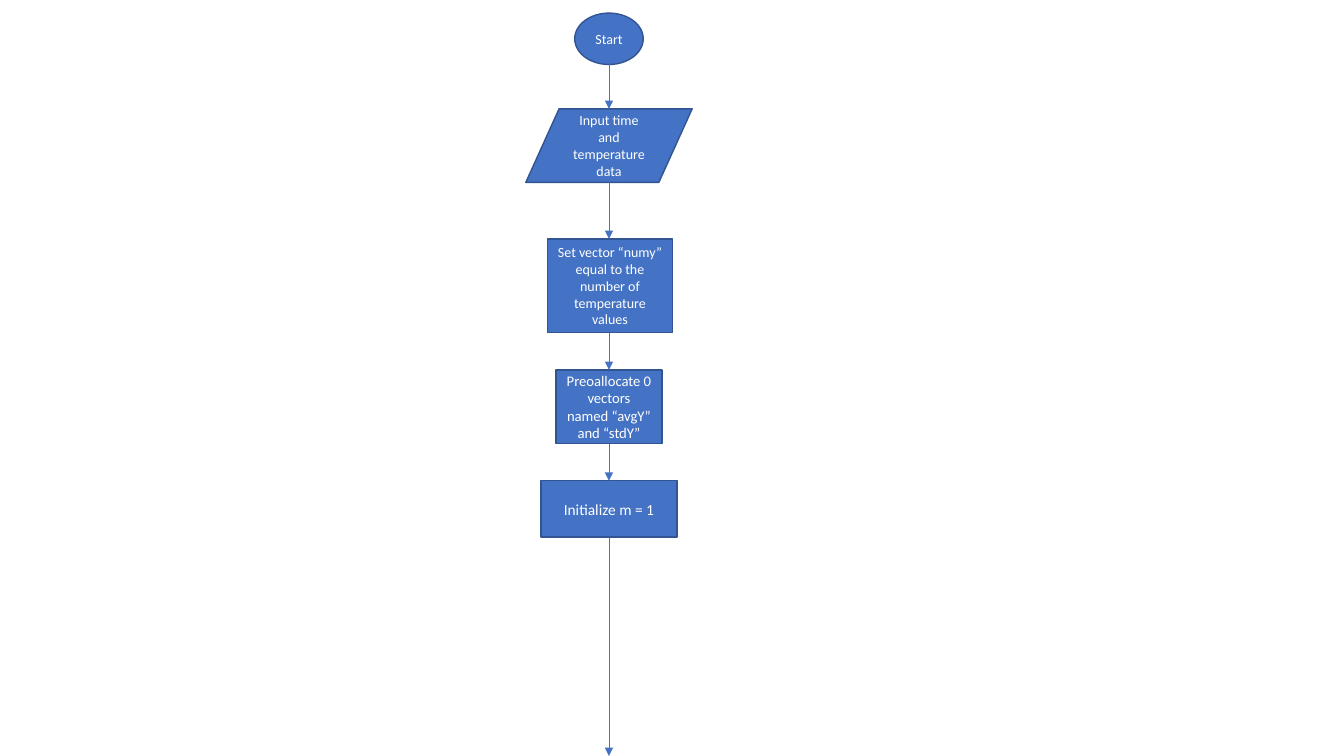
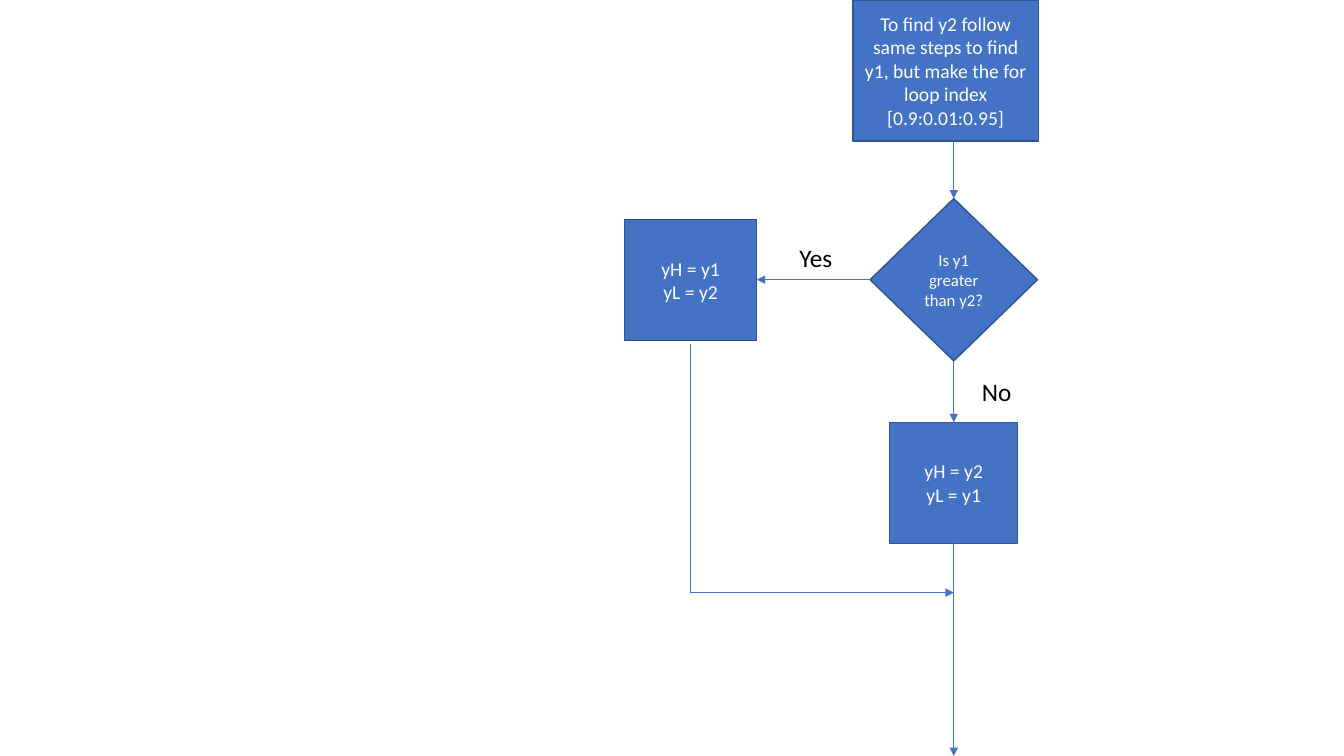
"""Build two flowchart slides: data set-up, and choosing the high and low values."""
from lxml import etree
from pptx import Presentation
from pptx.dml.color import RGBColor
from pptx.enum.shapes import MSO_CONNECTOR, MSO_SHAPE
from pptx.enum.text import MSO_ANCHOR, PP_ALIGN
from pptx.oxml.ns import qn
from pptx.util import Inches, Pt

OVAL, BOX = MSO_SHAPE.OVAL, MSO_SHAPE.RECTANGLE
DATA, DECISION = MSO_SHAPE.FLOWCHART_DATA, MSO_SHAPE.FLOWCHART_DECISION
STRAIGHT, ELBOW = MSO_CONNECTOR.STRAIGHT, MSO_CONNECTOR.ELBOW
MIDDLE, CENTER, LEFT = MSO_ANCHOR.MIDDLE, PP_ALIGN.CENTER, PP_ALIGN.LEFT

SLIDE_WIDTH, SLIDE_HEIGHT = 13.33, 7.5
FONT = "Calibri"
COLORS = {"fill": "4472C4", "outline": "325491", "light": "FFFFFF", "dark": "000000"}

# Each step: preset, centre x, top, width, height, text size, text
SETUP_AXIS = 6.04
SETUP_STEPS = [
    (OVAL, 6.04, 0.13, 0.68, 0.51, 10, "Start"),
    (DATA, 6.04, 1.08, 1.65, 0.73, 10, "Input time and temperature data"),
    (BOX, 6.05, 2.37, 1.24, 0.93, 10,
     "Set vector “numy” equal to the number of temperature values"),
    (BOX, 6.04, 3.67, 1.05, 0.73, 10.5,
     "Preoallocate 0 vectors named “avgY” and “stdY”"),
    (BOX, 6.04, 4.77, 1.35, 0.56, 11, "Initialize m = 1"),
]
COMPARE_AXIS = 9.46
COMPARE_STEPS = [
    (BOX, 9.38, 0, 1.84, 1.4, 14,
     "To find y2 follow same steps to find y1, but make the for loop index [0.9:0.01:0.95]"),
    (DECISION, 9.46, 1.97, 1.66, 1.61, 12, "Is y1 greater than y2?"),
    (BOX, 9.46, 4.19, 1.27, 1.2, 14, "yH = y2\nyL = y1"),
]
YES_STEP = (BOX, 6.85, 2.18, 1.31, 1.2, 14, "yH = y1\nyL = y2")
BRANCH_LABELS = [("Yes", 7.83, 2.35, 0.66, 0.4), ("No", 9.64, 3.68, 0.55, 0.41)]
MERGE_START, MERGE_Y = 3.41, 5.88


def color(name):
    return RGBColor.from_string(COLORS[name])


def write(shape, text, size, color_name, alignment):
    frame = shape.text_frame
    frame.word_wrap = True
    frame.text = text
    for paragraph in frame.paragraphs:
        paragraph.alignment = alignment
        for run in paragraph.runs:
            run.font.name = FONT
            run.font.size = Pt(size)
            run.font.color.rgb = color(color_name)


def add_step(slide, step):
    preset, center, top, width, height, size, text = step
    shape = slide.shapes.add_shape(
        preset, Inches(center - width / 2), Inches(top), Inches(width), Inches(height))
    shape.shadow.inherit = False
    shape.fill.solid()
    shape.fill.fore_color.rgb = color("fill")
    shape.line.color.rgb = color("outline")
    shape.line.width = Pt(1)
    shape.text_frame.vertical_anchor = MIDDLE
    write(shape, text, size, "light", CENTER)


def add_arrow(slide, start, end, kind=STRAIGHT):
    arrow = slide.shapes.add_connector(kind, *(Inches(value) for value in (*start, *end)))
    arrow.line.color.rgb = color("fill")
    arrow.line.width = Pt(0.5)
    properties = arrow._element.spPr
    etree.SubElement(properties.find(qn("a:ln")), qn("a:tailEnd"), type="triangle")
    etree.SubElement(properties, qn("a:effectLst"))
    return arrow


def add_down_then_right_arrow(slide, start, end):
    center_x, center_y = (start[0] + end[0]) / 2, (start[1] + end[1]) / 2
    half_width, half_height = (end[1] - start[1]) / 2, (end[0] - start[0]) / 2
    arrow = add_arrow(slide, (center_x - half_width, center_y - half_height),
                      (center_x + half_width, center_y + half_height), ELBOW)
    properties = arrow._element.spPr
    properties.find(qn("a:prstGeom")).set("prst", "bentConnector2")
    transform = properties.find(qn("a:xfrm"))
    transform.set("rot", str(270 * 60000))
    transform.set("flipH", "1")


def add_flow(slide, steps, axis):
    for step in steps:
        add_step(slide, step)
    next_tops = [step[2] for step in steps[1:]] + [SLIDE_HEIGHT]
    for step, next_top in zip(steps, next_tops):
        add_arrow(slide, (axis, step[2] + step[4]), (axis, next_top))


def add_label(slide, text, left, top, width, height):
    label = slide.shapes.add_textbox(
        Inches(left), Inches(top), Inches(width), Inches(height))
    write(label, text, 18, "dark", LEFT)


presentation = Presentation()
presentation.slide_width = Inches(SLIDE_WIDTH)
presentation.slide_height = Inches(SLIDE_HEIGHT)
blank = presentation.slide_layouts[6]

setup_slide = presentation.slides.add_slide(blank)
add_flow(setup_slide, SETUP_STEPS, SETUP_AXIS)

compare_slide = presentation.slides.add_slide(blank)
add_flow(compare_slide, COMPARE_STEPS, COMPARE_AXIS)
add_step(compare_slide, YES_STEP)
_, decision_center, decision_top, decision_width, decision_height, _, _ = COMPARE_STEPS[1]
_, yes_center, _, yes_width, _, _, _ = YES_STEP
branch_y = decision_top + decision_height / 2
add_arrow(compare_slide, (decision_center - decision_width / 2, branch_y),
          (yes_center + yes_width / 2, branch_y))
add_down_then_right_arrow(
    compare_slide, (yes_center, MERGE_START), (COMPARE_AXIS, MERGE_Y))
for branch_label in BRANCH_LABELS:
    add_label(compare_slide, *branch_label)

presentation.save("out.pptx")
